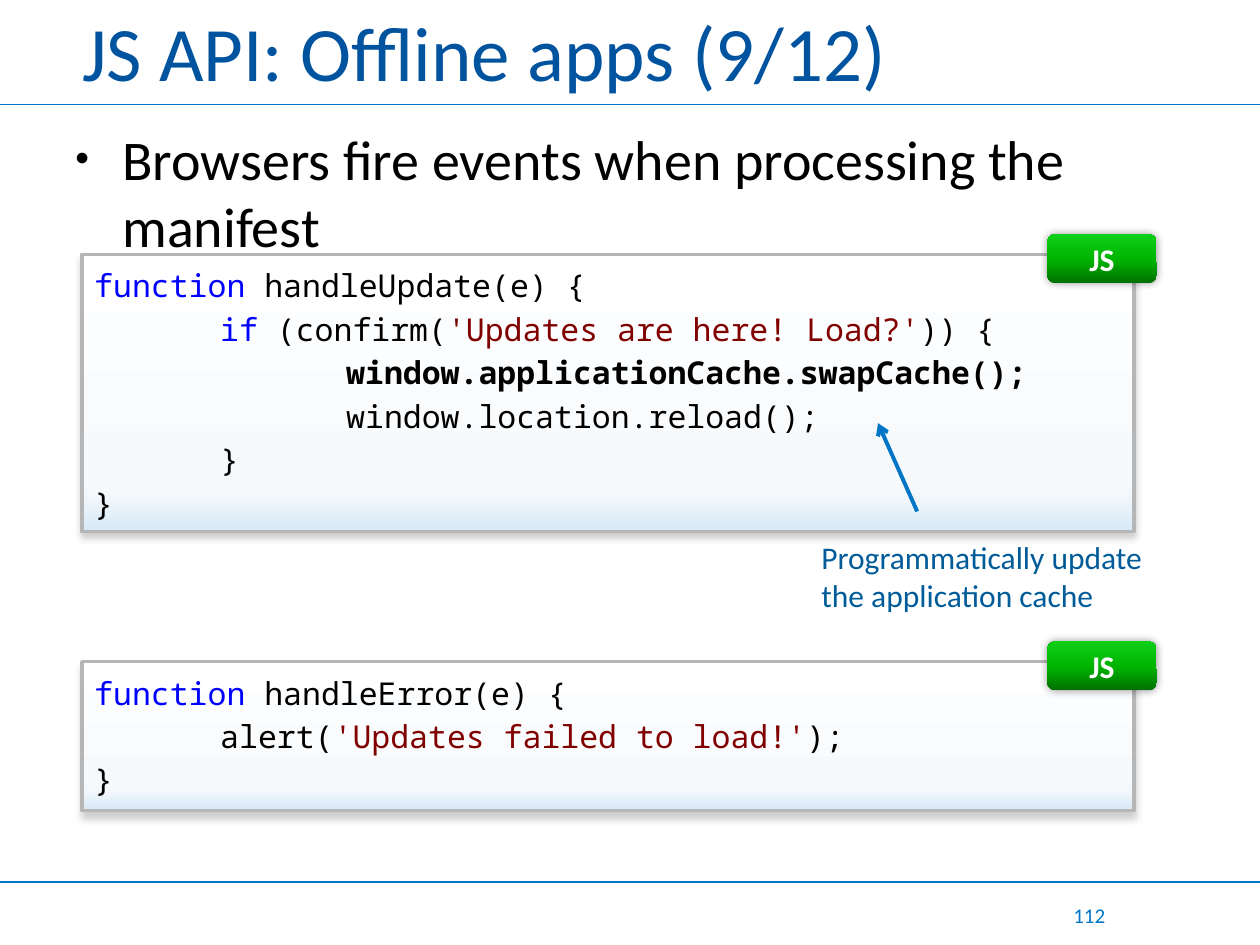
from dataclasses import dataclass

from lxml import etree
from pptx import Presentation
from pptx.dml.color import RGBColor
from pptx.enum.shapes import MSO_CONNECTOR, MSO_SHAPE
from pptx.enum.text import MSO_ANCHOR, MSO_AUTO_SIZE, PP_ALIGN
from pptx.oxml.ns import qn
from pptx.util import Cm, Pt

RECT, ROUND = MSO_SHAPE.RECTANGLE, MSO_SHAPE.ROUNDED_RECTANGLE
STRAIGHT = MSO_CONNECTOR.STRAIGHT
TOP, MIDDLE = MSO_ANCHOR.TOP, MSO_ANCHOR.MIDDLE
LEFT, CENTER, RIGHT = PP_ALIGN.LEFT, PP_ALIGN.CENTER, PP_ALIGN.RIGHT
NO_FIT = MSO_AUTO_SIZE.NONE


@dataclass(frozen=True)
class Theme:
    font: str = "Calibri"
    mono: str = "Noto Sans Mono"
    title: str = "00539F"
    rule: str = "0075C5"
    number: str = "0078C9"
    note: str = "005B99"
    text: str = "000000"
    keyword: str = "0000FF"
    string: str = "800000"
    border: str = "B6B6B6"
    white: str = "FFFFFF"
    panel: tuple = ((0, "FFFFFF"), (85, "F6F9FC"), (100, "D7E9F7"))
    badge: tuple = ((0, "007000"), (48, "00B400"), (100, "0FCF18"))
    title_size: int = 44
    body_size: int = 32
    code_size: int = 18
    label_size: int = 18
    number_size: int = 12


T = Theme()
TAB = Cm(2.54)

# Code lines as (text, style) runs
UPDATE_CODE = [
    [("function", "keyword"), (" handleUpdate(e) {", "text")],
    [("\t", "text"), ("if", "keyword"), (" (confirm(", "text"),
     ("'Updates are here! Load?'", "string"), (")) {", "text")],
    [("\t\t", "text"), ("window.applicationCache.swapCache();", "bold")],
    [("\t\twindow.location.reload();", "text")],
    [("\t}", "text")],
    [("}", "text")],
]
ERROR_CODE = [
    [("function", "keyword"), (" handleError(e) {", "text")],
    [("\talert(", "text"), ("'Updates failed to load!'", "string"), (");", "text")],
    [("}", "text")],
]


def add_xml(parent, tag, **attrs):
    return etree.SubElement(parent, qn(tag), {k: str(v) for k, v in attrs.items()})


def add_run(p, text, size, color, font=T.font, bold=False):
    r = p.add_run()
    r.text = text
    r.font.name, r.font.size, r.font.bold = font, Pt(size), bold
    r.font.color.rgb = RGBColor.from_string(color)


def add_text(s, box, text, size, color, align=LEFT, anchor=TOP):
    tf = s.shapes.add_textbox(*map(Cm, box)).text_frame
    tf.word_wrap = True
    tf.vertical_anchor = anchor
    p = tf.paragraphs[0]
    p.alignment = align
    add_run(p, text, size, color)
    return p


def add_line(s, start, end, width):
    line = s.shapes.add_connector(STRAIGHT, *map(Cm, start + end))
    line.line.color.rgb = RGBColor.from_string(T.rule)
    line.line.width = Pt(width)
    add_xml(line._element.spPr, "a:effectLst")
    return line


def add_block(s, kind, box, stops, angle, shadow):
    """Shape with a gradient of several stops and an outer shadow."""
    sp = s.shapes.add_shape(kind, *map(Cm, box))
    sp.fill.gradient()
    sp.fill.gradient_angle = angle
    spPr = sp._element.spPr
    gs_list = spPr.find(".//" + qn("a:gsLst"))
    for gs in list(gs_list):
        gs_list.remove(gs)
    for pos, color in stops:
        add_xml(add_xml(gs_list, "a:gs", pos=pos * 1000), "a:srgbClr", val=color)
    sp.line.fill.background()
    sp.shadow.inherit = False
    alpha, blur, dist, direction = shadow
    outer = add_xml(spPr.find(qn("a:effectLst")), "a:outerShdw", blurRad=Pt(blur),
                    dist=Pt(dist), dir=direction * 60000, rotWithShape=0)
    add_xml(add_xml(outer, "a:srgbClr", val=T.text), "a:alpha", val=alpha * 1000)
    return sp


def add_frame(s, box, title, number):
    """Title, the two rules and the page number."""
    x, y, w, h = box
    for rule_y in (y + 2.11, y + 17.78):
        add_line(s, (x, rule_y), (x + w, rule_y), 0.75)
    ph = s.shapes.title
    ph.left, ph.top, ph.width, ph.height = map(Cm, (x + 1.4, y + 0.2, 22.86, 1.63))
    tf = ph.text_frame
    tf.auto_size = NO_FIT
    tf.vertical_anchor = MIDDLE
    p = tf.paragraphs[0]
    p.alignment = LEFT
    add_run(p, title, T.title_size, T.title)
    add_text(s, (x + 20.83, y + 18.16, 1.7, 0.58), number, T.number_size,
             T.number, RIGHT, MIDDLE)


def add_body(s, box, text):
    """Bulleted statement."""
    p = add_text(s, box, text, T.body_size, T.text)
    pPr = p._p.get_or_add_pPr()
    pPr.set("marL", str(Cm(0.95)))
    pPr.set("indent", str(-Cm(0.95)))
    add_xml(pPr, "a:buSzPct", val=70000)
    add_xml(pPr, "a:buFont", typeface="Arial")
    add_xml(pPr, "a:buChar", char="•")


def add_code(s, box, lines, label):
    """Code panel with a language badge over its top right corner."""
    x, y, w, h = box
    panel = add_block(s, RECT, box, T.panel, 270, (20, 4, 3, 90))
    panel.line.color.rgb = RGBColor.from_string(T.border)
    panel.line.width = Pt(2)
    tf = panel.text_frame
    tf.word_wrap = True
    tf.vertical_anchor = TOP
    for i, line in enumerate(lines):
        p = tf.add_paragraph() if i else tf.paragraphs[0]
        p.alignment = LEFT
        p.line_spacing = 1.15
        tabs = add_xml(p._p.get_or_add_pPr(), "a:tabLst")
        for n in (1, 2):
            add_xml(tabs, "a:tab", pos=n * TAB, algn="l")
        for text, style in line:
            bold = style == "bold"
            color = T.text if bold else getattr(T, style)
            add_run(p, text, T.code_size, color, T.mono, bold)

    badge = add_block(s, ROUND, (x + w - 1.75, y - 0.41, 2.21, 0.99),
                      T.badge, 90, (40, 5, 0, 0))
    tf = badge.text_frame
    tf.vertical_anchor = MIDDLE
    p = tf.paragraphs[0]
    p.alignment = CENTER
    add_run(p, label, T.label_size, T.white, bold=True)


def add_callout(s, box, text):
    """Note with an arrow up to the code line it explains."""
    x, y, w, h = box
    arrow = add_line(s, (x + 2.18, y - 0.41), (x + 1.39, y - 2.19), 2.25)
    add_xml(arrow.line._get_or_add_ln(), "a:tailEnd", type="arrow")
    add_text(s, box, text, T.label_size, T.note)


def main():
    prs = Presentation()
    prs.slide_width, prs.slide_height = Cm(25.4), Cm(19.05)
    s = prs.slides.add_slide(prs.slide_layouts[5])
    add_frame(s, (0, 0, 25.4, 19.05), "JS API: Offline apps (9/12)", "112")
    add_body(s, (1.27, 2.39, 22.86, 14.63),
             "Browsers fire events when processing the manifest")
    add_code(s, (1.65, 5.13, 21.21, 5.59), UPDATE_CODE, "JS")
    add_code(s, (1.65, 13.34, 21.21, 3), ERROR_CODE, "JS")
    add_callout(s, (16.31, 10.72, 7.19, 1.8),
                "Programmatically update the application cache")
    prs.save("out.pptx")


if __name__ == "__main__":
    main()
